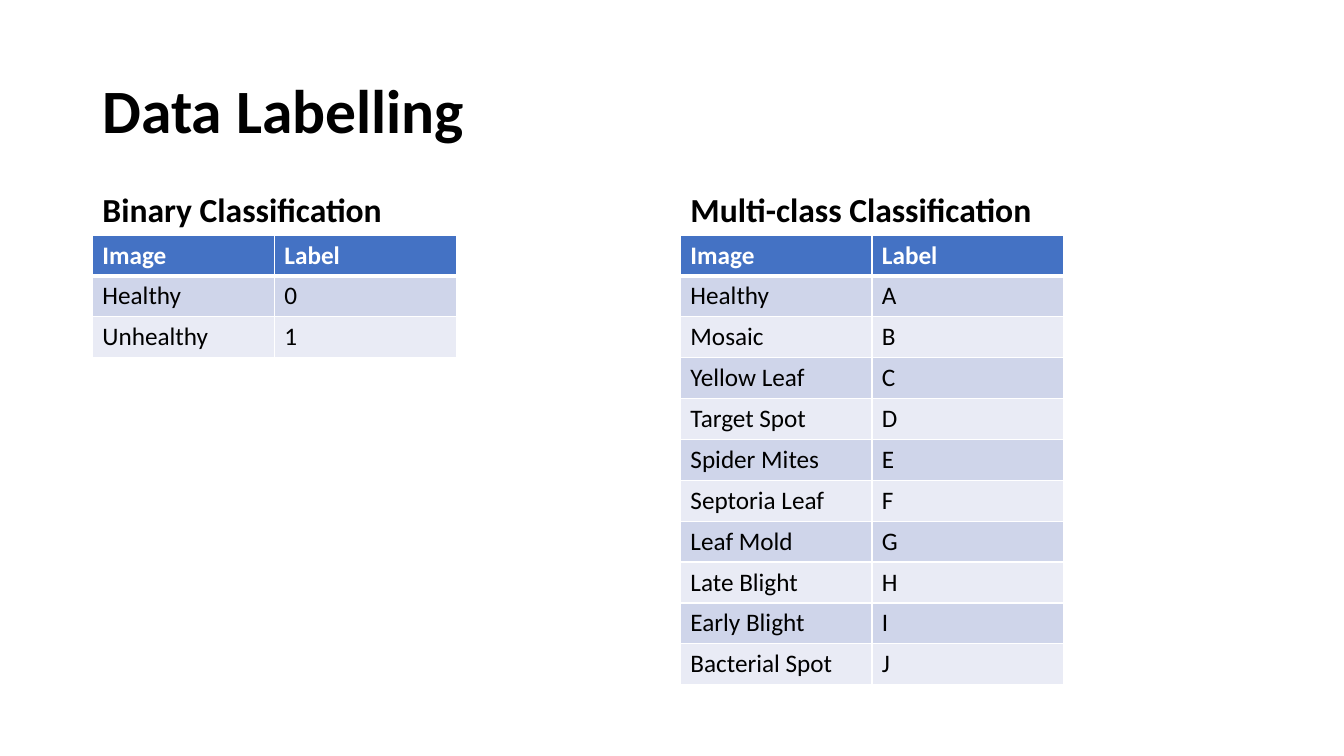
"""Build the data labelling slide with its two classification tables."""
from lxml import etree
from pptx import Presentation
from pptx import util as u
from pptx.dml import color
from pptx.enum import text
from pptx.oxml import ns

COLORS = {"text": "000000", "header": "4472C4", "header_text": "FFFFFF",
          "border": "FFFFFF", "odd": "CFD5EA", "even": "E9EBF5"}
FONT = "Calibri"
LEFT, RIGHT = 66, 486
HEADING_TOP, TABLE_TOP, ROW_HEIGHT = 132.4, 167.9, 29.16

BINARY = [("Image", "Label"), ("Healthy", "0"), ("Unhealthy", "1")]
DISEASES = ["Healthy", "Mosaic", "Yellow Leaf", "Target Spot", "Spider Mites",
            "Septoria Leaf", "Leaf Mold", "Late Blight", "Early Blight", "Bacterial Spot"]
MULTI_CLASS = [("Image", "Label"), *zip(DISEASES, "ABCDEFGHIJ")]


def set_attributes(target, values):
    for name, value in values.items():
        setattr(target, name, value)


def write(para, words, size, bold, shade):
    span = para.add_run()
    span.text = words
    set_attributes(span.font, {"name": FONT, "size": u.Pt(size), "bold": bold})
    span.font.color.rgb = color.RGBColor.from_string(COLORS[shade])


def fill_placeholder(box, bounds, words, size, anchor, space_before):
    set_attributes(box, dict(zip(("left", "top", "width", "height"), map(u.Pt, bounds))))
    set_attributes(box.text_frame, {"vertical_anchor": anchor, "word_wrap": True,
                                    "auto_size": text.MSO_AUTO_SIZE.NONE})
    para = box.text_frame.paragraphs[0]
    set_attributes(para, {"alignment": text.PP_ALIGN.LEFT, "line_spacing": 0.9,
                          "space_before": u.Pt(space_before)})
    write(para, words, size, True, "text")


def add_borders(cell, widths):
    properties = cell._tc.get_or_add_tcPr()
    for side, width in widths.items():
        line = etree.SubElement(properties, ns.qn(f"a:ln{side}"), w=str(u.Pt(width)))
        fill = etree.SubElement(line, ns.qn("a:solidFill"))
        etree.SubElement(fill, ns.qn("a:srgbClr"), val=COLORS["border"])


def add_label_table(page, left, column_width, rows):
    frame = page.shapes.add_table(len(rows), 2, u.Pt(left), u.Pt(TABLE_TOP),
                                  u.Pt(2 * column_width), u.Pt(ROW_HEIGHT * len(rows)))
    table = frame.table
    for column in table.columns:
        column.width = u.Pt(column_width)
    for index, values in enumerate(rows):
        table.rows[index].height = u.Pt(ROW_HEIGHT)
        header = index == 0
        shade = "header" if header else "odd" if index % 2 else "even"
        for position, words in enumerate(values):
            cell = table.cell(index, position)
            add_borders(cell, {"L": 1, "R": 1, "T": 3 if index == 1 else 1,
                               "B": 3 if header else 1})
            cell.fill.solid()
            cell.fill.fore_color.rgb = color.RGBColor.from_string(COLORS[shade])
            write(cell.text_frame.paragraphs[0], words, 18, header,
                  "header_text" if header else "text")


def main():
    deck = Presentation()
    set_attributes(deck, {"slide_width": u.Pt(960), "slide_height": u.Pt(540)})
    page = deck.slides.add_slide(deck.slide_layouts.get_by_name("Comparison"))
    title, binary, binary_body, multi, multi_body = page.placeholders
    for box in (binary_body, multi_body):
        box.element.getparent().remove(box.element)

    fill_placeholder(title, (LEFT, 28.75, 828, 104.4), "Data Labelling", 44,
                     text.MSO_ANCHOR.MIDDLE, 0)
    fill_placeholder(binary, (LEFT, HEADING_TOP, 406, 35.5), "Binary Classification", 24,
                     text.MSO_ANCHOR.BOTTOM, 10)
    fill_placeholder(multi, (RIGHT, HEADING_TOP, 408, 35.5), "Multi-class Classification", 24,
                     text.MSO_ANCHOR.BOTTOM, 10)
    add_label_table(page, RIGHT, 136.8, MULTI_CLASS)
    add_label_table(page, LEFT, 130, BINARY)
    deck.save("out.pptx")


if __name__ == "__main__":
    main()
